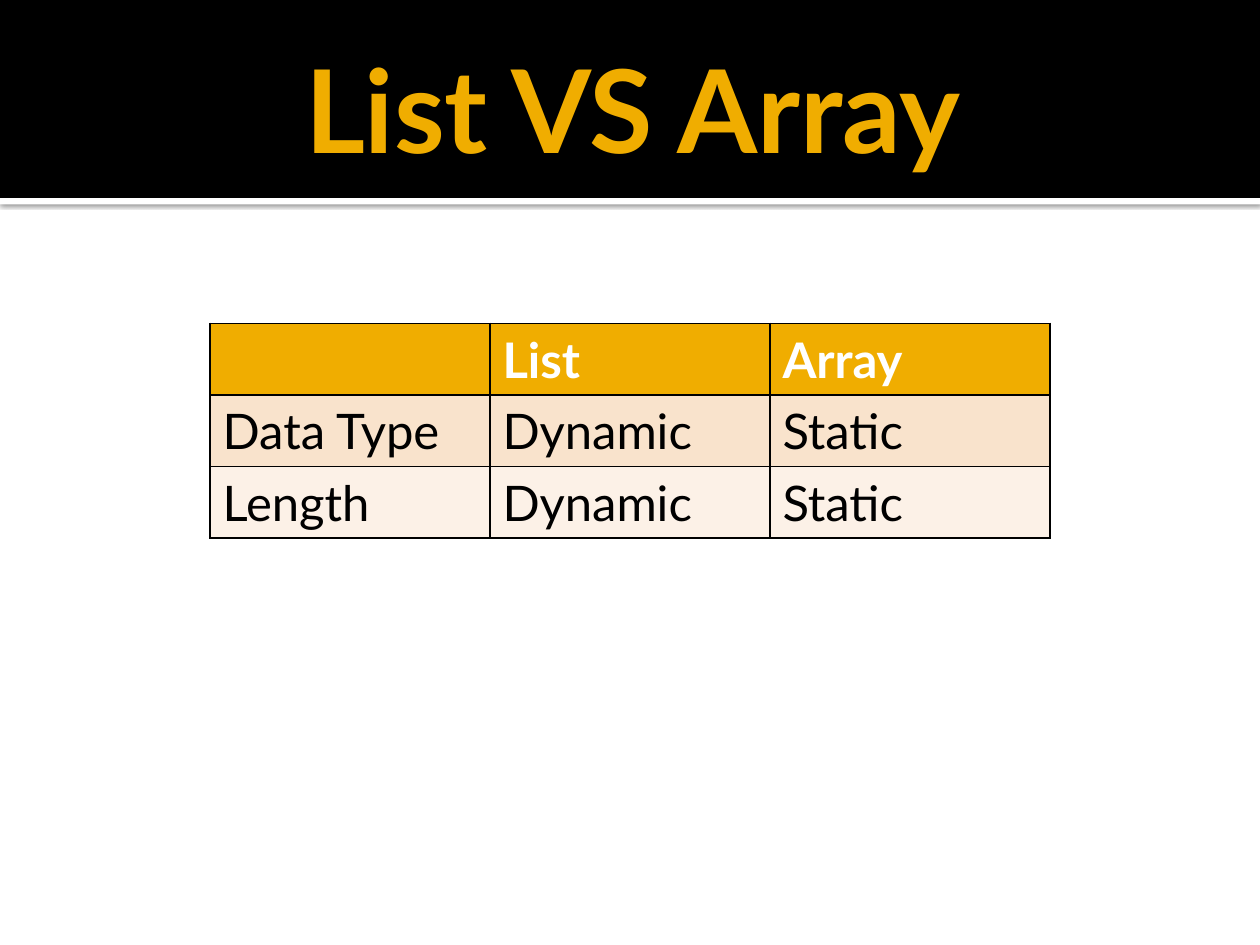
from lxml.etree import SubElement
from pptx import Presentation
from pptx.dml.color import RGBColor
from pptx.enum.shapes import MSO_SHAPE
from pptx.enum.text import MSO_ANCHOR, PP_ALIGN
from pptx.oxml import parse_xml
from pptx.oxml.ns import nsdecls, qn
from pptx.util import Cm, Pt

BLACK = RGBColor(0x00, 0x00, 0x00)
WHITE = RGBColor(0xFF, 0xFF, 0xFF)
AMBER = RGBColor(0xF0, 0xAD, 0x00)
PEACH = RGBColor(0xF9, 0xE3, 0xCC)
CREAM = RGBColor(0xFC, 0xF1, 0xE7)
FONT = "Lato"

COMPARISON = [
    ["", "List", "Array"],
    ["Data Type", "Dynamic", "Static"],
    ["Length", "Dynamic", "Static"],
]
ROW_FILLS = [AMBER, PEACH, CREAM]


def write_text(text_frame, text, size=28, color=BLACK, bold=False, align=PP_ALIGN.LEFT):
    """Write one formatted paragraph into a text frame."""
    paragraph = text_frame.paragraphs[0]
    paragraph.alignment = align
    paragraph.font.size = Pt(size)
    if not text:
        return
    run = paragraph.add_run()
    run.text = text
    run.font.name = FONT
    run.font.size = Pt(size)
    run.font.bold = bold
    run.font.color.rgb = color


def add_band(slide, left, top, width, height, color):
    """Add a plain filled rectangle without outline or shadow."""
    shape = slide.shapes.add_shape(MSO_SHAPE.RECTANGLE, left, top, width, height)
    shape.fill.solid()
    shape.fill.fore_color.rgb = color
    shape.line.fill.background()
    shape.shadow.inherit = False
    return shape


def add_drop_shadow(shape, blur, distance, opacity):
    """Give a shape a black shadow that falls straight down."""
    effects = shape._element.spPr.find(qn("a:effectLst"))
    effects.append(parse_xml(
        f'<a:outerShdw {nsdecls("a")} blurRad="{Pt(blur)}" dist="{Pt(distance)}" '
        f'dir="5400000" algn="t" rotWithShape="0"><a:srgbClr val="{BLACK}">'
        f'<a:alpha val="{opacity * 1000}"/></a:srgbClr></a:outerShdw>'))


def add_header(slide, left, top, width, height, title):
    """Draw the title band with its shadowed strip below."""
    strip = add_band(slide, left, top + height, width, Cm(0.13), WHITE)
    add_drop_shadow(strip, blur=2.5, distance=0.8, opacity=60)
    add_band(slide, left, top, width, height, BLACK)
    margin = Cm(1.27)
    title_box = slide.shapes.add_textbox(
        left + margin, top + Cm(0.43), width - 2 * margin, height - Cm(0.51))
    text_frame = title_box.text_frame
    text_frame.word_wrap = True
    text_frame.vertical_anchor = MSO_ANCHOR.MIDDLE
    text_frame.margin_left = Cm(0.25)
    text_frame.margin_right = text_frame.margin_top = text_frame.margin_bottom = Cm(0.13)
    write_text(text_frame, title, size=66, color=AMBER, bold=True, align=PP_ALIGN.CENTER)


def set_cell_format(cell, color):
    """Outline a cell in black and fill it."""
    properties = cell._tc.get_or_add_tcPr()
    for side in ("a:lnL", "a:lnR", "a:lnT", "a:lnB"):
        border = SubElement(properties, qn(side), w=str(Pt(1)))
        fill = SubElement(border, qn("a:solidFill"))
        SubElement(fill, qn("a:srgbClr"), val=str(BLACK))
    cell.fill.solid()
    cell.fill.fore_color.rgb = color


def add_comparison(slide, left, top, width, height, rows):
    """Draw the comparison table with equal rows and columns."""
    frame = slide.shapes.add_table(len(rows), len(rows[0]), left, top, width, height)
    for row_index, (texts, color) in enumerate(zip(rows, ROW_FILLS)):
        is_header = row_index == 0
        for column_index, text in enumerate(texts):
            cell = frame.table.cell(row_index, column_index)
            set_cell_format(cell, color)
            write_text(cell.text_frame, text, bold=is_header,
                       color=WHITE if is_header else BLACK)


def main():
    """Build and save the presentation."""
    presentation = Presentation()
    presentation.slide_width = Cm(25.4)
    presentation.slide_height = Cm(19.05)
    slide = presentation.slides.add_slide(presentation.slide_layouts[6])
    add_header(slide, Cm(0), Cm(0), presentation.slide_width, Cm(3.99), "List VS Array")
    table_width = Cm(16.93)
    table_left = (presentation.slide_width - table_width) // 2
    add_comparison(slide, table_left, Cm(6.52), table_width, Cm(4.32), COMPARISON)
    presentation.save("out.pptx")


main()
